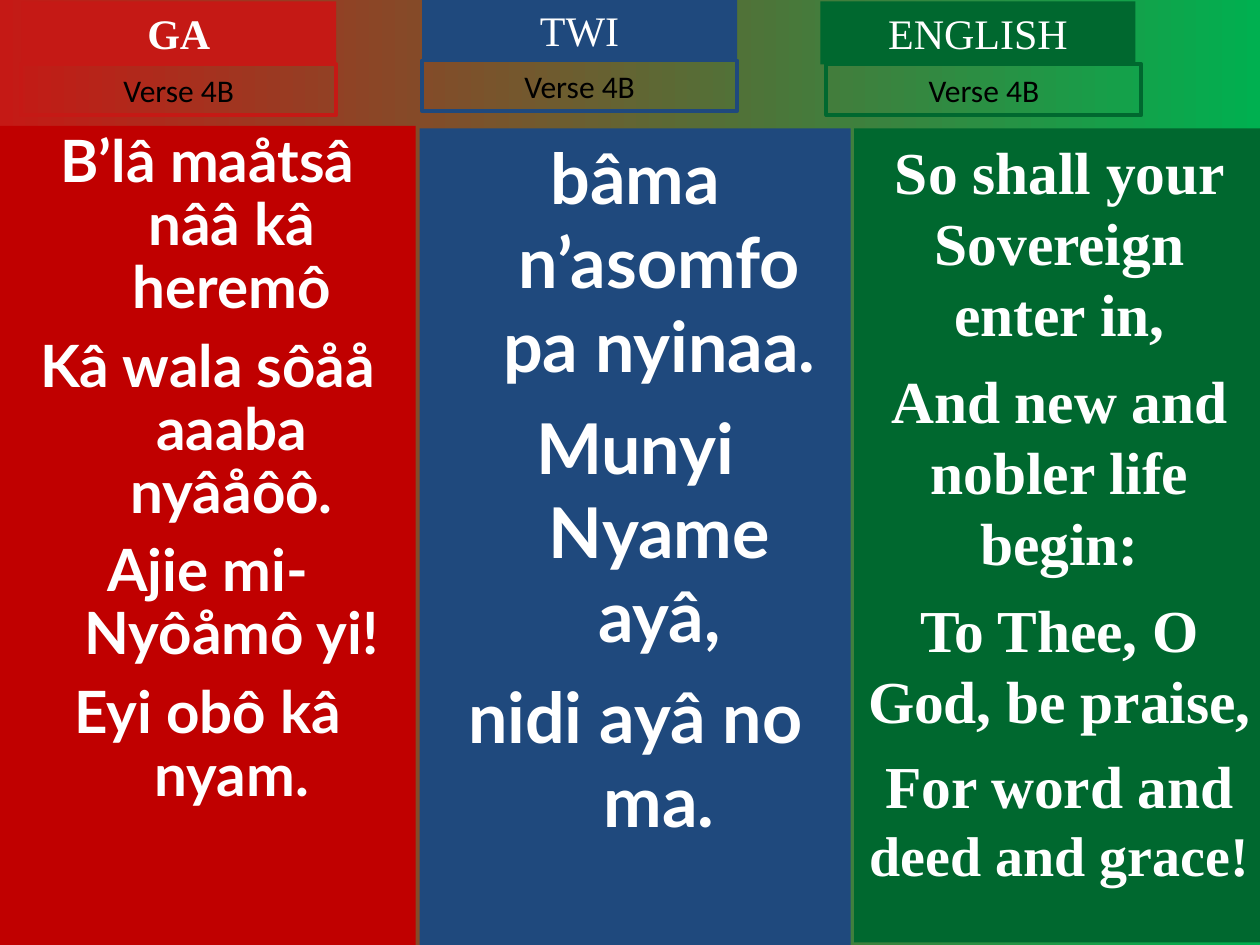
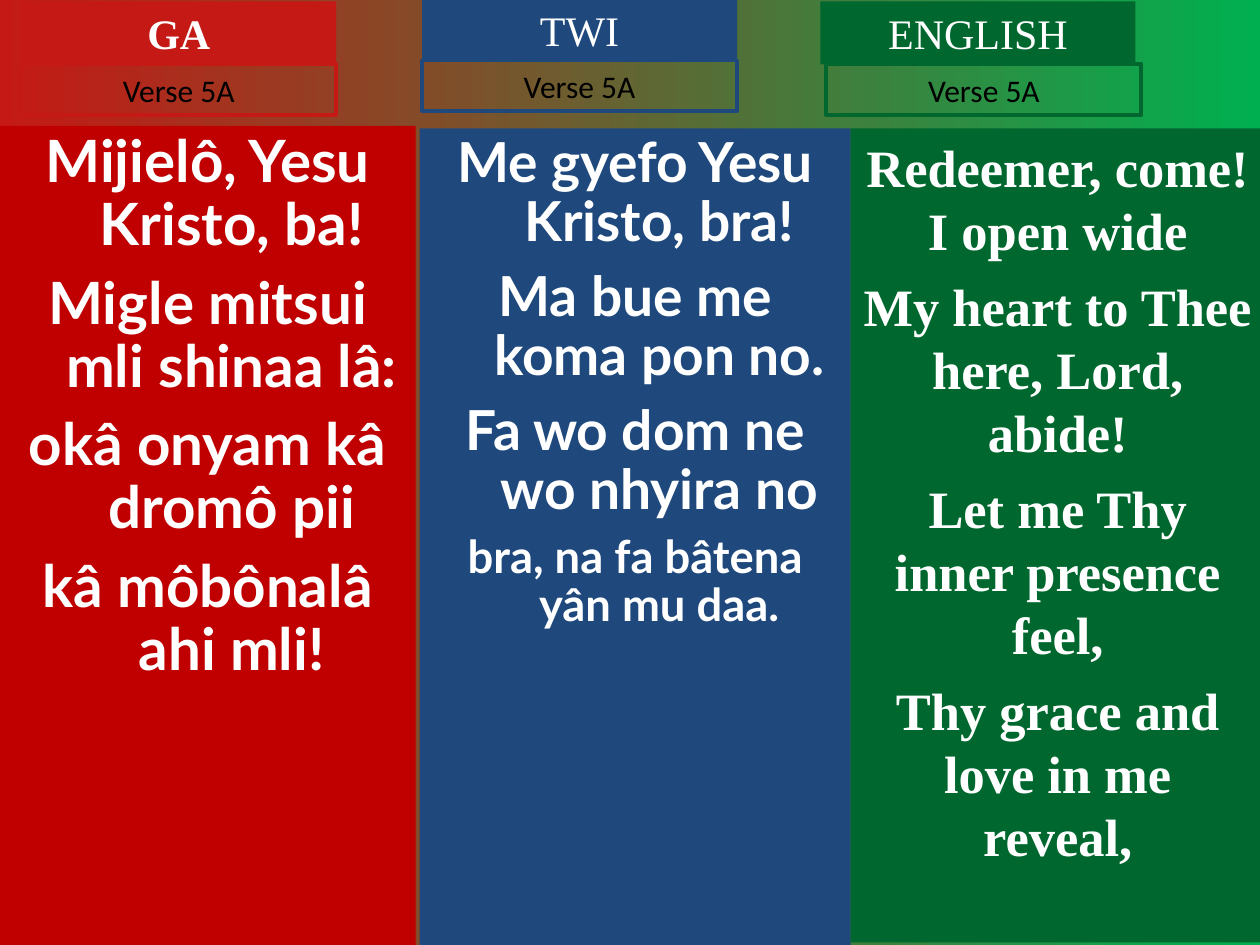
import pptx
import pptx.dml.color
import pptx.enum.shapes
import pptx.enum.text
import pptx.util
from dataclasses import dataclass

Cm = pptx.util.Cm
Pt = pptx.util.Pt


@dataclass(frozen=True)
class Theme:
    backdrop: tuple = ("C51915", "00B050")
    white: str = "FFFFFF"
    black: str = "000000"
    serif: str = "Times New Roman"
    hymn: str = "Lato"
    plain: str = "Calibri"
    title_size: float = 24
    verse_size: float = 18
    outline: float = 2.25
    squeeze: float = 0.925
    tight_lines: float = 0.9


THEME = Theme()

LANGUAGES = [
    dict(name="GA", bold=True, tab="C51915", panel="C00000", font=THEME.hymn, hanging=0.97,
         title_at=(0.43, 0.03), verse_at=(0.43, 1.3), top=2.54, bottom=19.05),
    dict(name="TWI", bold=False, tab="1F497D", panel="1F497D", font=THEME.hymn, hanging=0.97,
         title_at=(8.51, -0.03), verse_at=(8.51, 1.22), top=2.59, bottom=19.05),
    dict(name="ENGLISH", bold=False, tab="00682F", panel="00682F", font=THEME.serif, hanging=0,
         title_at=(16.54, 0.03), verse_at=(16.66, 1.3), top=2.59, bottom=19),
]

SLIDES = [
    ("Verse 4B", [
        dict(left=0, right=8.38, squeezed=True, lines=[
            [("B’lâ maåtsâ nââ kâ heremô", 36)],
            [("Kâ wala sôåå aaaba nyâåôô.", 36)],
            [("Ajie mi-Nyôåmô yi!", 36)],
            [("Eyi obô kâ nyam.", 36)]]),
        dict(left=8.46, right=17.15, squeezed=False, lines=[
            [("bâma n’asomfo pa nyinaa.", 40)],
            [("Munyi Nyame ayâ,", 40)],
            [("nidi ayâ no ma.", 40)]]),
        dict(left=17.22, right=25.5, squeezed=False, lines=[
            [("So shall your Sovereign enter in,", 34)],
            [("And new and nobler life begin:", 34)],
            [("To Thee, O God, be praise,", 34)],
            [("For word and ", 34), ("deed and grace!", 32)]]),
    ]),
    ("Verse 5A", [
        dict(left=0, right=8.38, squeezed=True, lines=[
            [("Mijielô, Yesu Kristo, ba!", 36)],
            [("Migle mitsui mli shinaa lâ:", 36)],
            [("okâ onyam kâ dromô pii", 36)],
            [("kâ môbônalâ ahi mli!", 36)]]),
        dict(left=8.46, right=17.15, squeezed=True, lines=[
            [("Me gyefo Yesu Kristo, bra!", 34)],
            [("Ma bue me koma pon no.", 34)],
            [("Fa wo dom ne wo nhyira no", 34)],
            [("bra, na fa bâtena yân mu daa.", 28)]]),
        dict(left=17.15, right=25.5, squeezed=False, lines=[
            [("Redeemer, come! I open wide", 30)],
            [("My heart to Thee here, Lord, abide!", 30)],
            [("Let me Thy inner presence feel,", 30)],
            [("Thy grace and love in me reveal,", 30)]]),
    ]),
]


def rgb(code):
    return pptx.dml.color.RGBColor.from_string(code)


def add_box(page, left, top, width, height, fill=None, line=None):
    box = page.shapes.add_shape(pptx.enum.shapes.MSO_SHAPE.RECTANGLE,
                                Cm(left), Cm(top), Cm(width), Cm(height))
    box.shadow.inherit = False
    if fill:
        box.fill.solid()
        box.fill.fore_color.rgb = rgb(fill)
    else:
        box.fill.background()
    if line:
        box.line.color.rgb = rgb(line)
        box.line.width = Pt(THEME.outline)
    else:
        box.line.fill.background()
    return box


def write(box, lines, font, color, bold=False, hanging=0, squeezed=False):
    frame = box.text_frame
    frame.word_wrap = True
    frame.vertical_anchor = pptx.enum.text.MSO_ANCHOR.TOP
    scale = THEME.squeeze if squeezed else 1
    for index, spans in enumerate(lines):
        para = frame.add_paragraph() if index else frame.paragraphs[0]
        para.alignment = pptx.enum.text.PP_ALIGN.CENTER
        if squeezed:
            para.line_spacing = THEME.tight_lines
        if index:
            para.space_before = Pt(spans[-1][1] / 4)
        if hanging:
            properties = para._p.get_or_add_pPr()
            properties.set("marL", str(Cm(hanging)))
            properties.set("indent", str(-Cm(hanging)))
        for text, size in spans:
            span = para.add_run()
            span.text = text
            span.font.name = font
            span.font.size = Pt(round(size * scale, 1))
            span.font.bold = bold
            span.font.color.rgb = rgb(color)


def paint_background(page):
    fill = page.background.fill
    fill.gradient()
    fill.gradient_angle = 0
    for stop, color in zip(fill.gradient_stops, THEME.backdrop):
        stop.color.rgb = rgb(color)


def add_column(page, language, verse, column):
    panel = add_box(page, column["left"], language["top"], column["right"] - column["left"],
                    language["bottom"] - language["top"], fill=language["panel"])
    write(panel, column["lines"], language["font"], THEME.white, bold=True,
          hanging=language["hanging"], squeezed=column["squeezed"])
    title = add_box(page, *language["title_at"], 6.35, 1.27, fill=language["tab"])
    write(title, [[(language["name"], THEME.title_size)]], THEME.serif, THEME.white,
          bold=language["bold"])
    label = add_box(page, *language["verse_at"], 6.35, 1.02, line=language["tab"])
    write(label, [[(verse, THEME.verse_size)]], THEME.plain, THEME.black)


def main():
    deck = pptx.Presentation()
    deck.slide_width, deck.slide_height = Cm(25.4), Cm(19.05)
    for verse, columns in SLIDES:
        page = deck.slides.add_slide(deck.slide_layouts[6])
        paint_background(page)
        for language, column in zip(LANGUAGES, columns):
            add_column(page, language, verse, column)
    deck.save("out.pptx")


if __name__ == "__main__":
    main()
